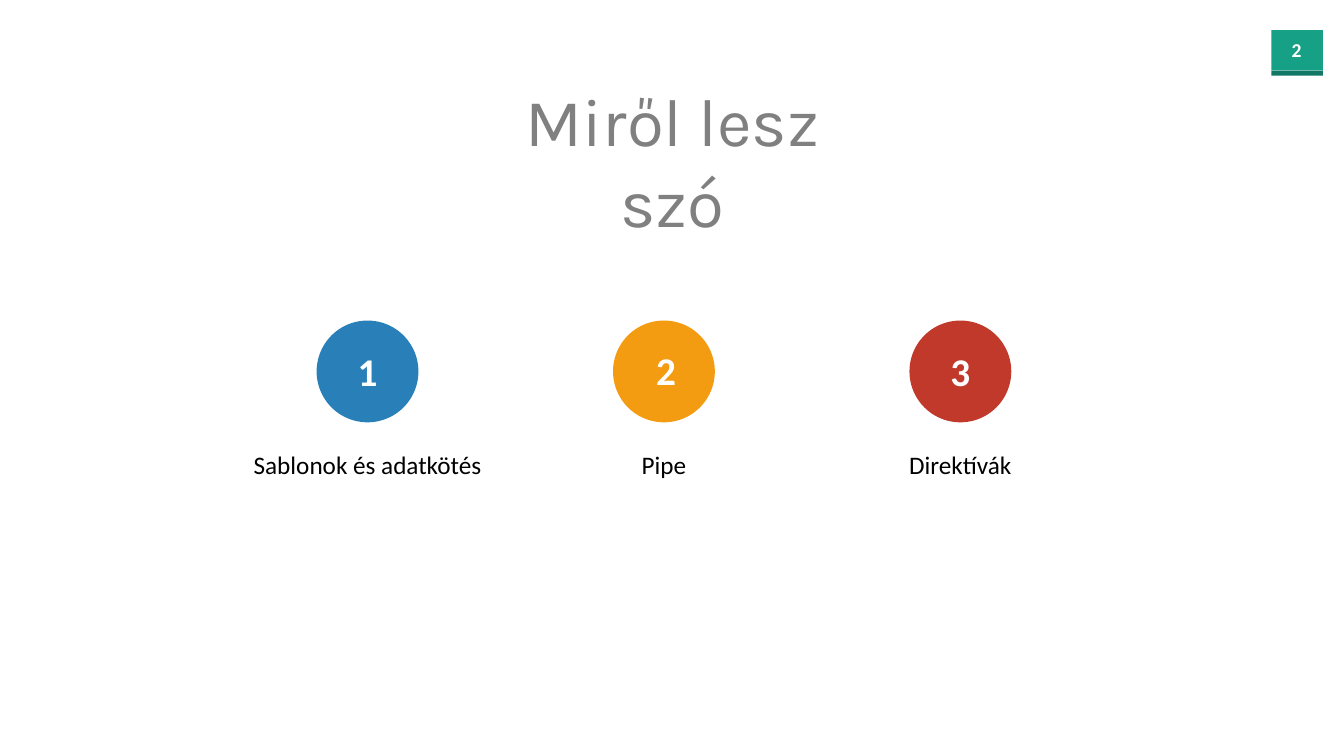
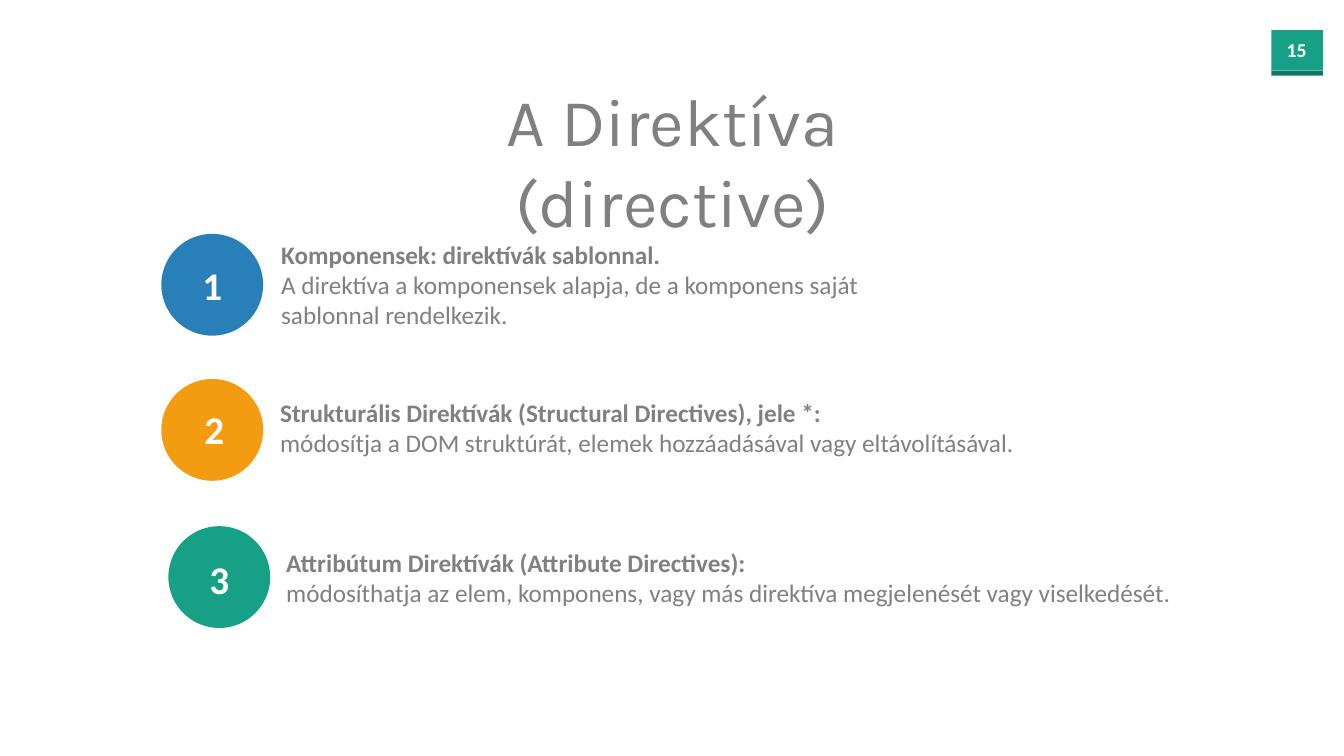
"""Build the two directive slides."""
import dataclasses
import typing

import pptx
import pptx.dml.color
import pptx.enum.shapes
import pptx.enum.text
import pptx.util

Inches = pptx.util.Inches
RGBColor = pptx.dml.color.RGBColor
Shape = pptx.enum.shapes.MSO_SHAPE
Align = pptx.enum.text.PP_ALIGN

WHITE = RGBColor(0xFF, 0xFF, 0xFF)
BLACK = RGBColor(0x00, 0x00, 0x00)
GRAY = RGBColor(0x80, 0x80, 0x80)
BLUE = RGBColor(0x29, 0x80, 0xB9)
ORANGE = RGBColor(0xF3, 0x9C, 0x12)
RED = RGBColor(0xC0, 0x39, 0x2B)
GREEN = RGBColor(0x16, 0xA0, 0x85)
DARK_GREEN = RGBColor(0x10, 0x78, 0x64)


def text_format(size: int, color: RGBColor, bold: bool = False,
                name: str = "Calibri") -> dict[str, typing.Any]:
    """Return the format values of a span."""
    return {"size": pptx.util.Pt(size), "color": color, "bold": bold, "name": name}


TITLE = text_format(48, GRAY, name="Karla")
PAGE_NUMBER = text_format(14, WHITE, bold=True)
BADGE_NUMBER = text_format(28, WHITE, bold=True)
CAPTION = text_format(18, BLACK)
HEADING = text_format(18, GRAY, bold=True)
BODY = text_format(18, GRAY)

BADGE_SIZE = 1.01
TITLE_CENTER = 6.67


class Area(typing.NamedTuple):
    """A place on the page, in inches."""
    left: float
    top: float
    width: float
    height: float

    def lengths(self) -> list[pptx.util.Length]:
        """Return the four lengths for python-pptx."""
        return [Inches(value) for value in self]


class Line(typing.NamedTuple):
    """One paragraph and its format."""
    text: str
    style: dict[str, typing.Any]


@dataclasses.dataclass(frozen=True)
class Badge:
    """A numbered circle; the nudge moves its digit off centre."""
    number: int
    left: float
    top: float
    color: RGBColor
    nudge_x: float = 0
    nudge_y: float = 0

    @property
    def center(self) -> float:
        """Return the horizontal centre."""
        return self.left + BADGE_SIZE / 2


@dataclasses.dataclass(frozen=True)
class Topic:
    """A badge with a caption below it."""
    badge: Badge
    caption: str
    width: float


@dataclasses.dataclass(frozen=True)
class Directive:
    """A badge with a heading and a description beside it."""
    badge: Badge
    area: Area
    heading: str
    description: str


def write_lines(frame: typing.Any, lines: list[Line], align: Align) -> None:
    """Fill a text frame with formatted paragraphs."""
    for index, line in enumerate(lines):
        para = frame.paragraphs[0] if index == 0 else frame.add_paragraph()
        para.alignment = align
        span = para.add_run()
        span.text = line.text
        for key, value in line.style.items():
            if key == "color":
                span.font.color.rgb = value
            else:
                setattr(span.font, key, value)


def add_text(shapes: typing.Any, area: Area, lines: list[Line],
             align: Align = Align.CENTER, wrap: bool = False) -> None:
    """Add a text box."""
    frame = shapes.add_textbox(*area.lengths()).text_frame
    frame.word_wrap = wrap
    write_lines(frame, lines, align)


def add_block(shapes: typing.Any, kind: Shape, area: Area, color: RGBColor) -> None:
    """Add a plain filled shape."""
    block = shapes.add_shape(kind, *area.lengths())
    block.shadow.inherit = False
    block.fill.solid()
    block.fill.fore_color.rgb = color
    block.line.fill.background()


def add_badge(shapes: typing.Any, badge: Badge) -> None:
    """Add a circle and its number."""
    circle = Area(badge.left, badge.top, BADGE_SIZE, BADGE_SIZE)
    add_block(shapes, Shape.OVAL, circle, badge.color)
    width, height = 0.4, 0.57
    area = Area(badge.center - width / 2 + badge.nudge_x,
                badge.top + (BADGE_SIZE - height) / 2 + badge.nudge_y, width, height)
    add_text(shapes, area, [Line(str(badge.number), BADGE_NUMBER)])


def add_page(deck: typing.Any, title: str, title_width: float, number: int) -> typing.Any:
    """Add a page with its title and page number tab."""
    page = deck.slides.add_slide(deck.slide_layouts.get_by_name("Title Only"))
    box = page.shapes.title
    area = Area(TITLE_CENTER - title_width / 2, 0.74, title_width, 0.91)
    for key, value in zip(("left", "top", "width", "height"), area.lengths()):
        setattr(box, key, value)
    frame = box.text_frame
    frame.word_wrap = True
    frame.auto_size = pptx.enum.text.MSO_AUTO_SIZE.NONE
    frame.vertical_anchor = pptx.enum.text.MSO_ANCHOR.TOP
    write_lines(frame, [Line(title, TITLE)], Align.CENTER)
    add_block(page.shapes, Shape.RECTANGLE, Area(12.61, 0.3, 0.51, 0.4), GREEN)
    add_block(page.shapes, Shape.RECTANGLE, Area(12.61, 0.7, 0.51, 0.05), DARK_GREEN)
    add_text(page.shapes, Area(12.64, 0.33, 0.44, 0.34), [Line(str(number), PAGE_NUMBER)])
    return page


def add_topic(page: typing.Any, topic: Topic) -> None:
    """Add a grouped badge and caption."""
    shapes = page.shapes.add_group_shape().shapes
    add_badge(shapes, topic.badge)
    area = Area(topic.badge.center - topic.width / 2, 4.41, topic.width, 0.4)
    add_text(shapes, area, [Line(topic.caption, CAPTION)])


def add_directive(page: typing.Any, directive: Directive) -> None:
    """Add a grouped badge and description."""
    shapes = page.shapes.add_group_shape().shapes
    add_badge(shapes, directive.badge)
    lines = [Line(directive.heading, HEADING), Line(directive.description, BODY)]
    add_text(shapes, directive.area, lines, Align.LEFT, wrap=True)


TOPIC_LEFT, TOPIC_STEP, TOPIC_TOP = 3.14, 2.94, 3.18
TOPICS = [
    Topic(Badge(1, TOPIC_LEFT, TOPIC_TOP, BLUE), "Sablonok és adatkötés", 2.48),
    Topic(Badge(2, TOPIC_LEFT + TOPIC_STEP, TOPIC_TOP, ORANGE, 0.02, -0.01), "Pipe", 0.71),
    Topic(Badge(3, TOPIC_LEFT + 2 * TOPIC_STEP, TOPIC_TOP, RED), "Direktívák", 1.23),
]
DIRECTIVES = [
    Directive(Badge(1, 1.6, 2.32, BLUE), Area(2.69, 2.32, 6.67, 1.01),
              "Komponensek: direktívák sablonnal.",
              "A direktíva a komponensek alapja, de a komponens saját "
              "sablonnal rendelkezik."),
    Directive(Badge(2, 1.6, 3.76, ORANGE, 0.02, -0.01), Area(2.68, 3.89, 8.55, 0.71),
              "Strukturális Direktívák (Structural Directives), jele *:",
              "módosítja a DOM struktúrát, elemek hozzáadásával vagy eltávolításával."),
    Directive(Badge(3, 1.67, 5.22, GREEN, 0, 0.02), Area(2.74, 5.38, 9.82, 0.71),
              "Attribútum Direktívák (Attribute Directives):",
              "módosíthatja az elem, komponens, vagy más direktíva "
              "megjelenését vagy viselkedését."),
]


def main() -> None:
    """Build and save the deck."""
    deck = pptx.Presentation()
    deck.slide_width, deck.slide_height = Inches(13.33), Inches(7.5)
    agenda = add_page(deck, "Miről lesz szó", 3.76, 2)
    for topic in TOPICS:
        add_topic(agenda, topic)
    overview = add_page(deck, "A Direktíva (directive)", 5.91, 15)
    for directive in DIRECTIVES:
        add_directive(overview, directive)
    deck.save("out.pptx")


main()
